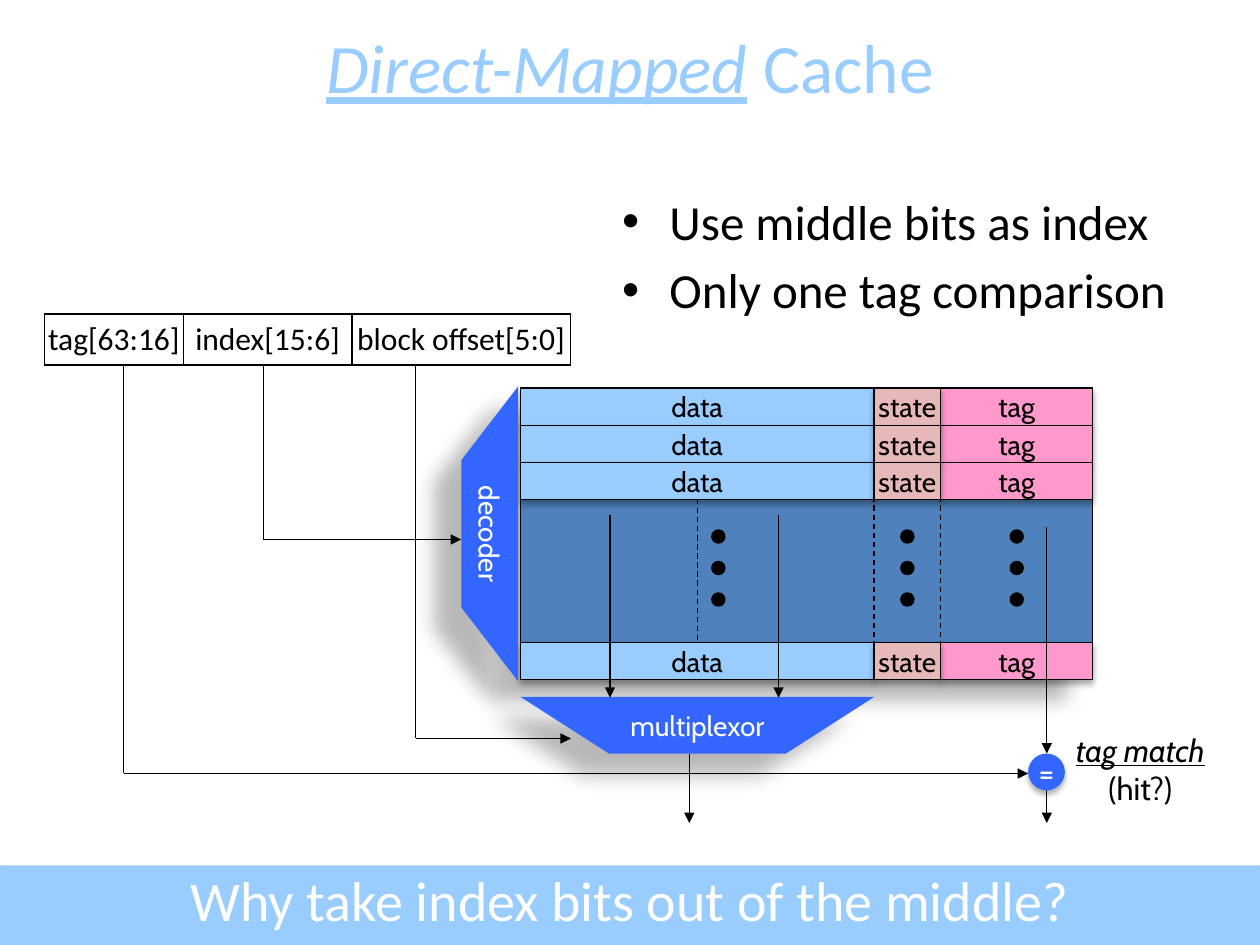
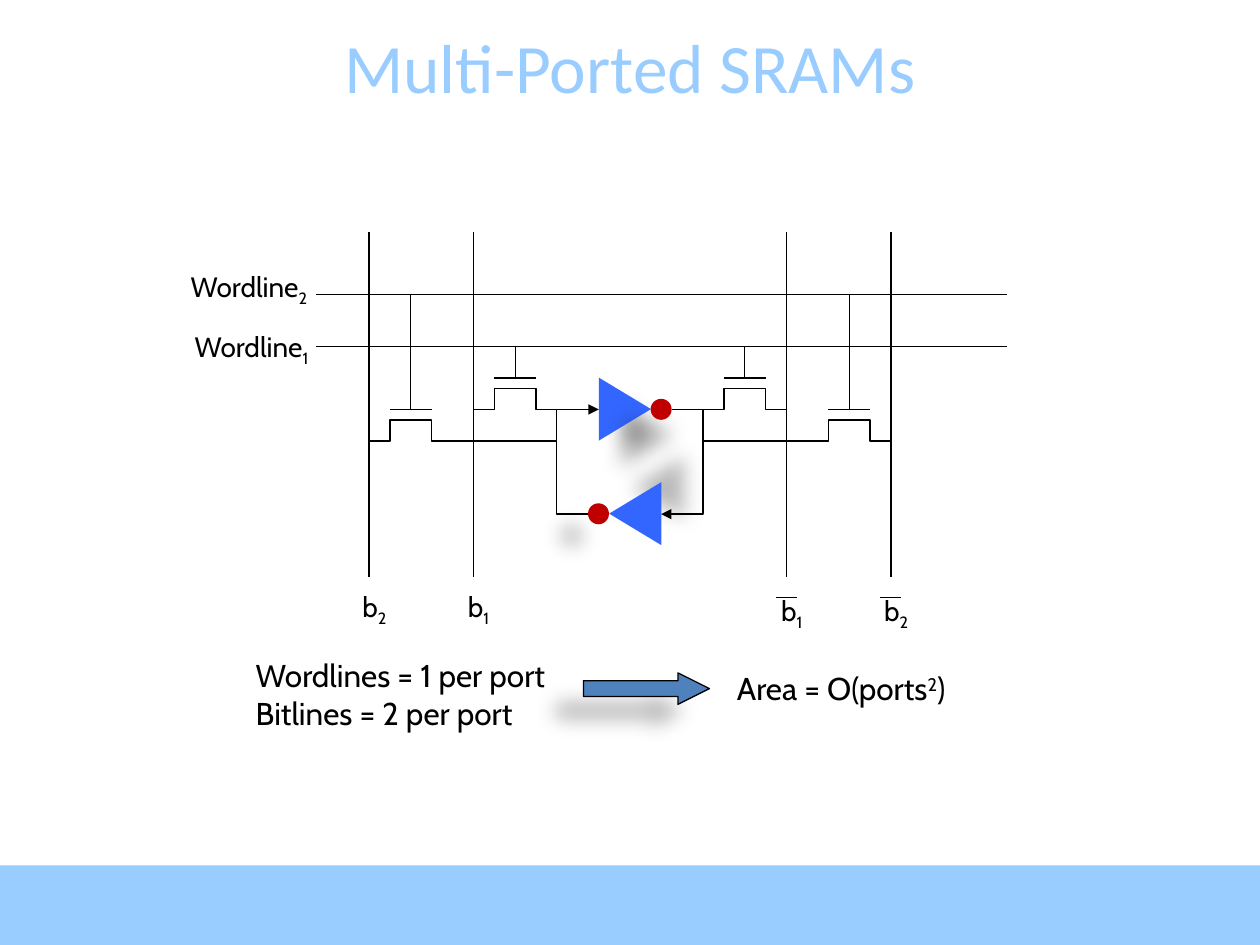
from lxml import etree
from pptx import Presentation
from pptx.dml.color import RGBColor
from pptx.enum.dml import MSO_LINE
from pptx.enum.shapes import MSO_CONNECTOR, MSO_SHAPE
from pptx.enum.text import MSO_ANCHOR, MSO_AUTO_SIZE, PP_ALIGN
from pptx.oxml.ns import qn
from pptx.util import Pt

RECTANGLE, OVAL = MSO_SHAPE.RECTANGLE, MSO_SHAPE.OVAL
TRIANGLE, RIGHT_ARROW = MSO_SHAPE.ISOSCELES_TRIANGLE, MSO_SHAPE.RIGHT_ARROW
STRAIGHT, ELBOW = MSO_CONNECTOR.STRAIGHT, MSO_CONNECTOR.ELBOW
CENTER, LEFT = PP_ALIGN.CENTER, PP_ALIGN.LEFT
MIDDLE = MSO_ANCHOR.MIDDLE
FIT_SHAPE, NO_FIT = MSO_AUTO_SIZE.SHAPE_TO_FIT_TEXT, MSO_AUTO_SIZE.NONE
DASH = MSO_LINE.DASH

BLACK, WHITE = "000000", "FFFFFF"
SKY, BLUE, STEEL = "99CCFF", "3366FF", "4F81BD"
PINK, ROSE, RED = "FF99CC", "E6B9B8", "C00000"
HEADING, LABEL = "Calibri", "Cabin"
SLIDE_WIDTH, SLIDE_HEIGHT = 720, 540
BAND_SHADOW = (35, 3.1, 1.8, 90)
SOFT_SHADOW = (32, 3.5, 2.2, 90)
LONG_SHADOW = (28, 11.8, 19.7, 141)

MIDLINE, STEP = 360, 11.93


def color(value):
    return RGBColor.from_string(value)


def add_run(paragraph, text, size, font=LABEL, fill=BLACK, emphasis=False, baseline=0):
    run = paragraph.add_run()
    run.text = text
    run.font.size = Pt(size)
    run.font.name = font
    run.font.color.rgb = color(fill)
    if emphasis:
        run.font.italic = run.font.underline = True
    if baseline:
        run.font._element.set("baseline", str(baseline * 1000))


def set_shadow(shape, shadow):
    shape.shadow.inherit = False
    if shadow:
        alpha, blur, distance, angle = shadow
        effects = shape.element.spPr.find(qn("a:effectLst"))
        outer = etree.SubElement(effects, qn("a:outerShdw"), blurRad=str(Pt(blur)),
                                 dist=str(Pt(distance)), dir=str(angle * 60000),
                                 rotWithShape="0")
        tint = etree.SubElement(outer, qn("a:srgbClr"), val=BLACK)
        etree.SubElement(tint, qn("a:alpha"), val=str(alpha * 1000))


def style_shape(shape, fill, line_width=0, shadow=None, rotation=0):
    if fill:
        shape.fill.solid()
        shape.fill.fore_color.rgb = color(fill)
    else:
        shape.fill.background()
    if line_width:
        shape.line.color.rgb = color(BLACK)
        shape.line.width = Pt(line_width)
    else:
        shape.line.fill.background()
    set_shadow(shape, shadow)
    shape.rotation = rotation


def add_shape(slide, kind, left, top, width, height, fill, **style):
    shape = slide.shapes.add_shape(kind, Pt(left), Pt(top), Pt(width), Pt(height))
    style_shape(shape, fill, **style)
    return shape


def add_caption(shape, text, size=16, fill=BLACK):
    frame = shape.text_frame
    frame.word_wrap = False
    frame.vertical_anchor = MIDDLE
    paragraph = frame.paragraphs[0]
    paragraph.alignment = CENTER
    add_run(paragraph, text, size, fill=fill)


def add_freeform(slide, points, closed, fill=None, **style):
    builder = slide.shapes.build_freeform(*[Pt(value) for value in points[0]])
    builder.add_line_segments([(Pt(x), Pt(y)) for x, y in points[1:]], close=closed)
    shape = builder.convert_to_shape()
    style_shape(shape, fill, **style)
    return shape


def add_trapezoid(slide, left, top, width, height, text, rotation=0):
    points = [(left + width, top), (left + width * 0.75, top + height),
              (left + width * 0.25, top + height), (left, top)]
    shape = add_freeform(slide, points, True, BLUE, shadow=LONG_SHADOW, rotation=rotation)
    add_caption(shape, text, fill=WHITE)


def add_line(slide, x1, y1, x2, y2, arrow=False, dashed=False, kind=STRAIGHT, bend=None):
    connector = slide.shapes.add_connector(kind, Pt(x1), Pt(y1), Pt(x2), Pt(y2))
    connector.line.color.rgb = color(BLACK)
    connector.line.width = Pt(0.75)
    if dashed:
        connector.line.dash_style = DASH
    properties = connector.element.spPr
    if arrow:
        etree.SubElement(properties.find(qn("a:ln")), qn("a:tailEnd"), type="triangle")
    if bend is not None:
        guides = properties.find(qn("a:prstGeom")).find(qn("a:avLst"))
        etree.SubElement(guides, qn("a:gd"), name="adj1", fmla=f"val {bend * 100000}")
    etree.SubElement(properties, qn("a:effectLst"))


def add_text(slide, left, top, width, height, paragraphs, alignment=CENTER, wrap=False):
    box = slide.shapes.add_textbox(Pt(left), Pt(top), Pt(width), Pt(height))
    frame = box.text_frame
    frame.word_wrap = wrap
    frame.auto_size = FIT_SHAPE
    for index, runs in enumerate(paragraphs):
        paragraph = frame.add_paragraph() if index else frame.paragraphs[0]
        paragraph.alignment = alignment
        for run in runs:
            add_run(paragraph, **run)
    return box


def add_subscripted(slide, left, top, width, text, subscript):
    add_text(slide, left, top, width, 26.6, [
        [dict(text=text, size=16), dict(text=subscript, size=16, baseline=-25)]])


def add_bullets(slide, left, top, width, height, lines):
    runs = [[dict(text=line, size=28, font=HEADING)] for line in lines]
    box = add_text(slide, left, top, width, height, runs, LEFT, wrap=True)
    box.text_frame.auto_size = NO_FIT
    for paragraph in box.text_frame.paragraphs:
        paragraph.space_before = Pt(5.6)
        properties = paragraph._p.get_or_add_pPr()
        properties.set("marL", str(Pt(27)))
        properties.set("indent", str(Pt(-27)))
        etree.SubElement(properties, qn("a:buFont"), typeface="Arial")
        etree.SubElement(properties, qn("a:buChar"), char="\u2022")


def add_address_table(slide, left, top, height, fields):
    width = sum(size for _, size in fields)
    table = slide.shapes.add_table(1, len(fields), Pt(left), Pt(top), Pt(width), Pt(height)).table
    table.first_row = table.horz_banding = False
    for column, (text, size) in enumerate(fields):
        table.columns[column].width = Pt(size)
        cell = table.cell(0, column)
        cell.margin_left = cell.margin_right = 0
        paragraph = cell.text_frame.paragraphs[0]
        paragraph.alignment = CENTER
        add_run(paragraph, text, 18, HEADING)
        properties = cell._tc.get_or_add_tcPr()
        for side in ("lnL", "lnR", "lnT", "lnB"):
            border = etree.SubElement(properties, qn(f"a:{side}"), w=str(Pt(1)))
            paint = etree.SubElement(border, qn("a:solidFill"))
            etree.SubElement(paint, qn("a:srgbClr"), val=BLACK)
        cell.fill.background()


def add_slide(presentation, *title_runs):
    slide = presentation.slides.add_slide(presentation.slide_layouts[5])
    add_shape(slide, RECTANGLE, 0, 494.6, SLIDE_WIDTH, 45.4, SKY, shadow=BAND_SHADOW)
    title = slide.shapes.title
    title.left, title.top, title.width, title.height = Pt(0), Pt(15), Pt(SLIDE_WIDTH), Pt(45.4)
    title.text_frame.auto_size = NO_FIT
    title.text_frame.vertical_anchor = MIDDLE
    paragraph = title.text_frame.paragraphs[0]
    paragraph.alignment = CENTER
    for text, emphasis in title_runs:
        add_run(paragraph, text, 39.6, HEADING, SKY, emphasis)
    return slide


def add_cache_array(slide):
    add_shape(slide, RECTANGLE, 297.4, 221.8, 326.9, 165.6, STEEL,
              line_width=0.75, shadow=LONG_SHADOW)
    row_tops = [221.8 + 21.25 * row for row in range(3)] + [367.1]
    columns = [("data", 297.4, 202, SKY, 410.5), ("tag", 537.6, 86.7, PINK, 581),
               ("state", 499.4, 38.2, ROSE, 518.5)]
    for text, left, width, fill, dots in columns:
        for top in row_tops:
            cell = add_shape(slide, RECTANGLE, left, top, width, 21.25, fill,
                             line_width=0.75, shadow=SOFT_SHADOW)
            add_caption(cell, text)
        for row in range(3):
            add_shape(slide, OVAL, dots - 3, 303.6 + 18 * row, 6, 6, BLACK, line_width=2.25)
    for x, top, bottom in ((398.6, 285.3, 367.1), (499.4, 221.8, 387), (537.3, 221.8, 387)):
        add_line(slide, x, top, x, bottom, dashed=True)


def build_cache_slide(presentation):
    slide = add_slide(presentation, ("Direct-Mapped", True), (" Cache", False))
    add_bullets(slide, 348.5, 105.8, 335.5, 158.4,
                ["Use middle bits as index", "Only one tag comparison"])
    add_cache_array(slide)
    add_trapezoid(slide, 297.4, 398.2, 202.2, 32.4, "multiplexor")
    add_trapezoid(slide, 195.6, 288.9, 168.5, 32.4, "decoder", rotation=90)
    for x, turn, end in ((70.6, 442, 587.5), (150.4, 308.3, 263.5), (237.5, 422, 326.2)):
        add_line(slide, x, 208.3, x, turn)
        add_line(slide, x, turn, end, turn, arrow=True)
    for x, top, bottom in ((348.6, 294.5, 398.7), (444.9, 294.5, 398.7), (393.9, 430.6, 470.3),
                           (598.2, 301, 430.6), (598.2, 451.4, 470.3)):
        add_line(slide, x, top, x, bottom, arrow=True)
    add_address_table(slide, 25.4, 179.3, 29.4, [
        ("tag[63:16]", 79.4), ("index[15:6]", 96.3), ("block offset[5:0]", 124.8)])
    comparator = add_shape(slide, OVAL, 587.5, 430.6, 21, 21, BLUE, shadow=SOFT_SHADOW)
    comparator.text_frame.margin_left = comparator.text_frame.margin_right = 0
    add_caption(comparator, "=", 18, WHITE)
    match = add_text(slide, 604.1, 414, 95, 51, [[dict(text="tag match", size=18, emphasis=True)]],
                     wrap=True)
    paragraph = match.text_frame.paragraphs[0]
    paragraph.add_line_break()
    add_run(paragraph, "(hit?)", 18)
    add_text(slide, 0, 491, SLIDE_WIDTH, 45.4, [
        [dict(text="Why take index bits out of the middle?", size=32, font=HEADING, fill=WHITE)]],
        wrap=True)


def add_transistor(slide, left, base, wordline):
    outline = [(0, 0), (1, 0), (1, -1), (3, -1), (3, 0), (4, 0)]
    add_freeform(slide, [(left + x * STEP, base + y * STEP) for x, y in outline], False,
                 line_width=0.75)
    gate = base - 18
    add_line(slide, left + STEP, gate, left + 3 * STEP, gate)
    add_line(slide, left + 2 * STEP, gate, left + 2 * STEP, wordline)


def add_port(slide, number, inner, base, wordline, label_left, label_top):
    add_line(slide, 180.7, wordline, 575.3, wordline)
    add_subscripted(slide, label_left, label_top, 81.4, "Wordline", number)
    outer = inner + 4
    for side in (-1, 1):
        bitline = MIDLINE + side * outer * STEP
        add_line(slide, bitline, 132.5, bitline, 329.8)
        add_transistor(slide, min(bitline, MIDLINE + side * inner * STEP), base, wordline)
        add_subscripted(slide, bitline - 11, 334.5 + side, 28, "b", number)
    add_line(slide, bitline - 6, 341.3, bitline + 6, 341.3)


def add_inverters(slide):
    for left, top, rotation, angle, bubble in ((339.1, 218.9, 90, 49, 371.8),
                                               (345, 278.6, 270, 311, 336)):
        add_shape(slide, TRIANGLE, left, top, 36, 29.8, BLUE, rotation=rotation,
                  shadow=LONG_SHADOW[:3] + (angle,))
        add_shape(slide, OVAL, bubble, top + 9, 12, 12, RED, shadow=LONG_SHADOW)
    add_line(slide, 336.2, 293.8, 342.2, 234, arrow=True, kind=ELBOW, bend=-3)
    add_line(slide, 383.8, 234, 377.8, 293.8, arrow=True, kind=ELBOW, bend=-3)


def build_sram_slide(presentation):
    slide = add_slide(presentation, ("Multi-Ported SRAMs", False))
    add_inverters(slide)
    add_port(slide, "1", 3.5, 234, 198, 103, 185)
    add_port(slide, "2", 8.5, 252, 168.4, 101.5, 150.5)
    for side in (-1, 1):
        add_line(slide, MIDLINE + side * 3.5 * STEP, 252, MIDLINE + side * 8.5 * STEP, 252)
    add_text(slide, 139, 371.5, 188.6, 51, [
        [dict(text="Wordlines = 1 per port", size=18)],
        [dict(text="Bitlines = 2 per port", size=18)]], LEFT)
    arrow = add_shape(slide, RIGHT_ARROW, 333.4, 384.5, 72, 18, STEEL,
                      line_width=0.75, shadow=LONG_SHADOW)
    arrow.adjustments[1] = 1
    add_text(slide, 409, 378.7, 143.3, 29, [
        [dict(text="Area = O(ports", size=18), dict(text="2", size=18, baseline=30),
         dict(text=")", size=18)]])


def main():
    presentation = Presentation()
    presentation.slide_width = Pt(SLIDE_WIDTH)
    presentation.slide_height = Pt(SLIDE_HEIGHT)
    build_cache_slide(presentation)
    build_sram_slide(presentation)
    presentation.save("out.pptx")


main()
